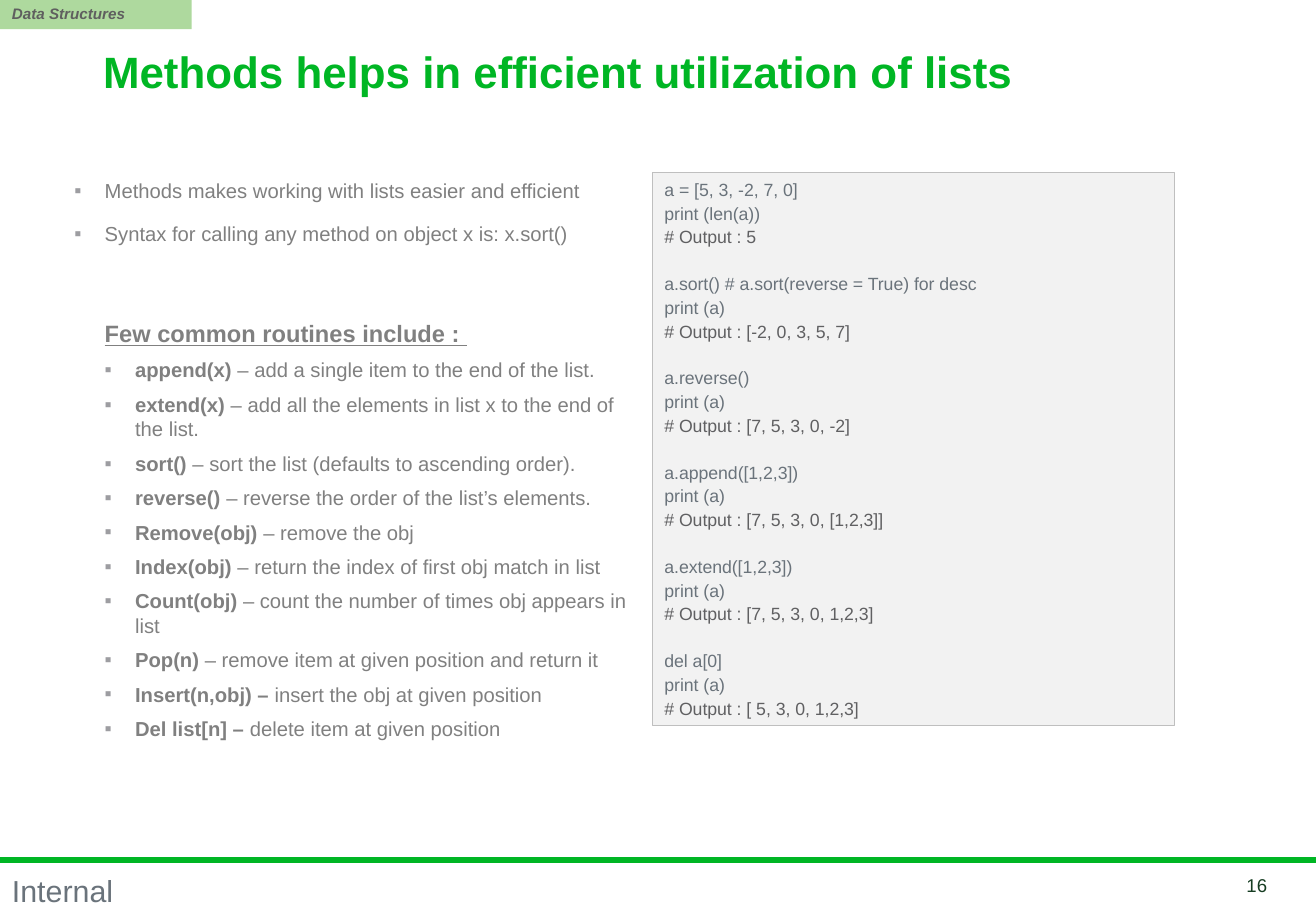
from lxml.etree import SubElement
from pptx import Presentation
from pptx.dml.color import RGBColor
from pptx.enum.shapes import MSO_CONNECTOR, MSO_SHAPE
from pptx.enum.text import MSO_ANCHOR, MSO_AUTO_SIZE, PP_ALIGN
from pptx.oxml.ns import qn
from pptx.util import Cm, Pt

GREEN, GREY, SLATE, DARK = "00B624", "808080", "6A737B", "606062"
WIDTH, HEIGHT = 27.51, 19.05

INTRODUCTION = [
    "Methods makes working with lists easier and efficient",
    "Syntax for calling any method on object x is: x.sort()",
]
ROUTINES = [
    ("append(x) ", "– add a single item to the end of the list."),
    ("extend(x) ", "– add all the elements in list x to the end of the list."),
    ("sort() ", "– sort the list (defaults to ascending order)."),
    ("reverse() ", "– reverse the order of the list’s elements."),
    ("Remove(obj) ", "– remove the obj"),
    ("Index(obj) ", "– return the index of first obj match in list"),
    ("Count(obj) ", "– count the number of times obj appears in list"),
    ("Pop(n) ", "– remove item at given position and return it"),
    ("Insert(n,obj) –", " insert the obj at given position"),
    ("Del list[n] –", " delete item at given position"),
]
EXAMPLES = [
    ("a = [5, 3, -2, 7, 0]", "print (len(a))", "# Output : 5"),
    ("a.sort() # a.sort(reverse = True) for desc", "print (a)", "# Output : [-2, 0, 3, 5, 7]"),
    ("a.reverse()", "print (a)", "# Output : [7, 5, 3, 0, -2]"),
    ("a.append([1,2,3])", "print (a)", "# Output : [7, 5, 3, 0, [1,2,3]]"),
    ("a.extend([1,2,3])", "print (a)", "# Output : [7, 5, 3, 0, 1,2,3]"),
    ("del a[0]", "print (a)", "# Output : [ 5, 3, 0, 1,2,3]"),
]


def color(hex_text):
    return RGBColor.from_string(hex_text)


def add_text(paragraph, text, size=12, fill=GREY, bold=False, italic=False, underline=False):
    run = paragraph.add_run()
    run.text = text
    font = run.font
    font.name, font.size = "Arial", Pt(size)
    font.bold, font.italic, font.underline = bold, italic, underline
    font.color.rgb = color(fill)


def next_paragraph(frame, before=0, line_spacing=1.0, align=PP_ALIGN.LEFT):
    """Return the empty first paragraph, or a new one with space before it."""
    paragraph = frame.paragraphs[0]
    if paragraph.runs:
        paragraph = frame.add_paragraph()
    paragraph.space_before = Pt(before)
    paragraph.line_spacing = line_spacing
    paragraph.alignment = align
    return paragraph


def set_bullet(paragraph, level=0, bullet="▪"):
    """Indent the paragraph for its level; without a bullet, only indent it."""
    paragraph.level = level
    properties = paragraph._p.get_or_add_pPr()
    properties.set("marL", str(Cm(0.635 * (level + 1))))
    properties.set("indent", str(Cm(-0.635) if bullet else 0))
    if not bullet:
        SubElement(properties, qn("a:buNone"))
        return
    bullet_color = SubElement(properties, qn("a:buClr"))
    SubElement(bullet_color, qn("a:srgbClr"), val="9D9DA1")
    SubElement(properties, qn("a:buFont"), typeface="Arial")
    SubElement(properties, qn("a:buChar"), char=bullet)


class SlideBuilder:
    def __init__(self, presentation):
        self.slide = presentation.slides.add_slide(presentation.slide_layouts[1])

    def prepare(self, shape, anchor=MSO_ANCHOR.TOP, wrap=True):
        frame = shape.text_frame
        frame.auto_size = MSO_AUTO_SIZE.NONE
        frame.word_wrap = wrap
        frame.vertical_anchor = anchor
        return frame

    def placeholder(self, index, left, top, width, height, **layout):
        shape = self.slide.placeholders[index]
        shape.left, shape.top = Cm(left), Cm(top)
        shape.width, shape.height = Cm(width), Cm(height)
        return self.prepare(shape, **layout)

    def text_box(self, left, top, width, height, **layout):
        shape = self.slide.shapes.add_textbox(Cm(left), Cm(top), Cm(width), Cm(height))
        return self.prepare(shape, **layout)

    def rectangle(self, left, top, width, height, fill, border=None):
        shape = self.slide.shapes.add_shape(
            MSO_SHAPE.RECTANGLE, Cm(left), Cm(top), Cm(width), Cm(height))
        shape.shadow.inherit = False
        shape.fill.solid()
        shape.fill.fore_color.rgb = color(fill)
        if border:
            shape.line.color.rgb = color(border)
            shape.line.width = Pt(0.75)
        else:
            shape.line.fill.background()
        return self.prepare(shape)

    def horizontal_line(self, top, fill, weight):
        line = self.slide.shapes.add_connector(
            MSO_CONNECTOR.STRAIGHT, 0, Cm(top), Cm(WIDTH), Cm(top))
        line.line.color.rgb = color(fill)
        line.line.width = Pt(weight)
        SubElement(line._element.spPr, qn("a:effectLst"))


def add_routines(frame):
    for sentence in INTRODUCTION:
        paragraph = next_paragraph(frame, before=11)
        set_bullet(paragraph)
        add_text(paragraph, sentence)
    heading = next_paragraph(frame, before=43.5)
    set_bullet(heading, bullet=None)
    add_text(heading, "Few common routines include : ", size=14, bold=True, underline=True)
    for name, meaning in ROUTINES:
        paragraph = next_paragraph(frame, before=6)
        set_bullet(paragraph, level=1)
        add_text(paragraph, name, bold=True)
        add_text(paragraph, meaning)


def add_examples(frame):
    for example in EXAMPLES:
        for number, code in enumerate(example):
            paragraph = next_paragraph(frame, before=1.5 if number else 15.1)
            if example is EXAMPLES[0] and number == 0:
                paragraph.space_before = Pt(0)
            add_text(paragraph, code, size=10.5, fill=DARK if code.startswith("#") else SLATE)


def main():
    presentation = Presentation()
    presentation.slide_width, presentation.slide_height = Cm(WIDTH), Cm(HEIGHT)
    builder = SlideBuilder(presentation)

    builder.horizontal_line(17.98, GREEN, 3.5)
    label = builder.text_box(0, 18.16, 2.64, 0.99, wrap=False)
    add_text(next_paragraph(label, line_spacing=0.95), "Internal", size=18, fill=SLATE)

    add_examples(builder.rectangle(13.64, 3.61, 10.92, 11.56, "F2F2F2", border="BFBFBF"))

    body = builder.placeholder(1, 1.3, 3.61, 12.19, 13.82)
    add_routines(body)
    body.paragraphs[0].space_before = Pt(0)

    title = builder.placeholder(0, 1.9, 0.84, 22.86, 1.47, anchor=MSO_ANCHOR.MIDDLE)
    add_text(next_paragraph(title, line_spacing=0.85),
             "Methods helps in efficient utilization of lists", size=26, fill=GREEN, bold=True)

    section = builder.rectangle(0, -0.03, 4.01, 0.64, "AED99E")
    add_text(next_paragraph(section), "Data Structures", size=9, fill="5F5F5F",
             bold=True, italic=True)

    page = builder.text_box(24.66, 18.26, 2.08, 0.51, anchor=MSO_ANCHOR.MIDDLE)
    add_text(next_paragraph(page, align=PP_ALIGN.RIGHT), "16", size=11, fill="163D22")

    presentation.save("out.pptx")


if __name__ == "__main__":
    main()
